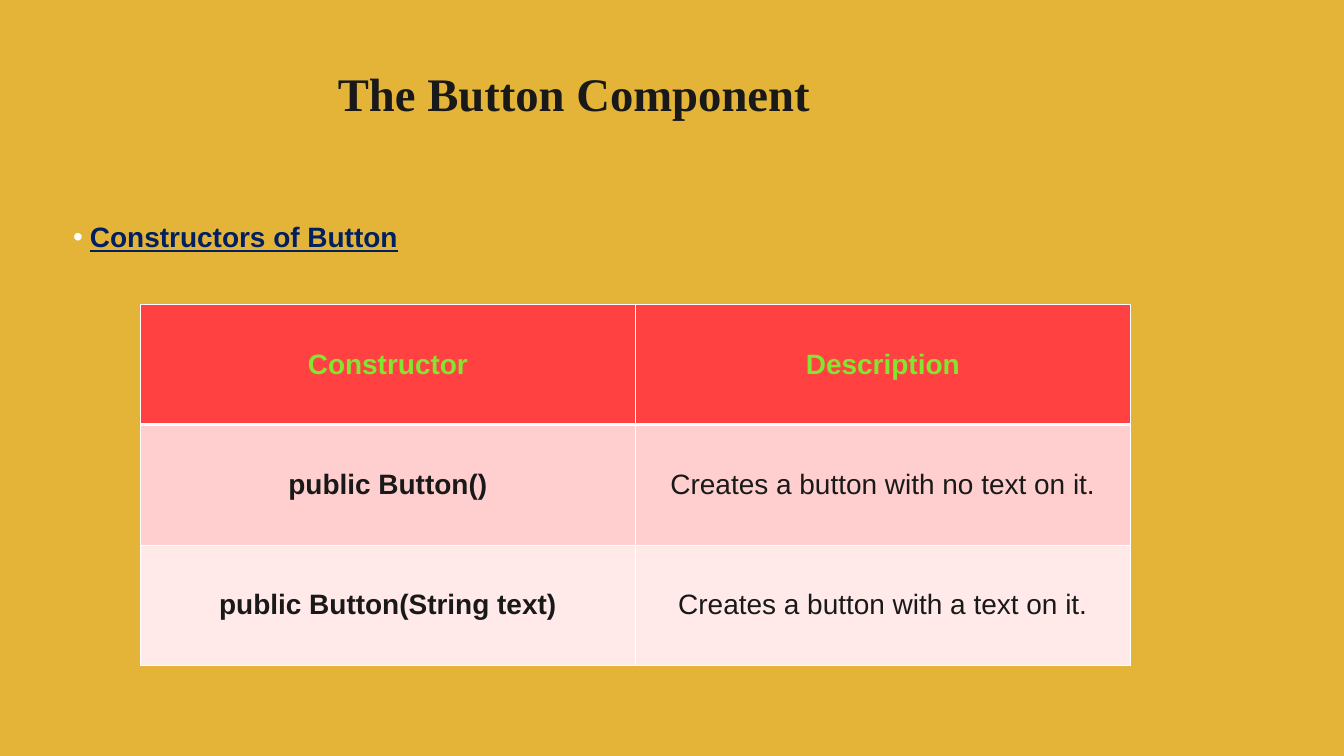
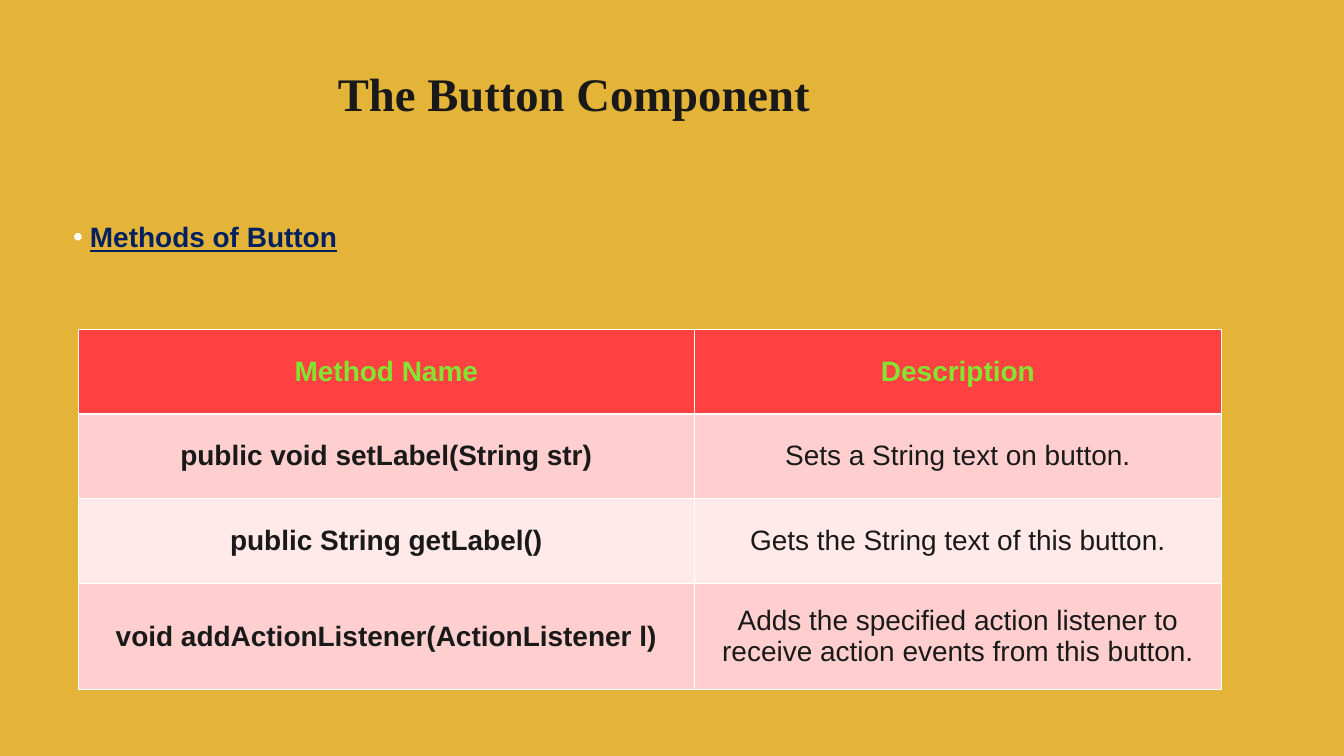
from lxml.etree import SubElement
from pptx import Presentation
from pptx.dml.color import RGBColor
from pptx.enum.text import MSO_ANCHOR, PP_ALIGN
from pptx.oxml.ns import qn
from pptx.util import Inches, Pt

GOLD = RGBColor(0xE4, 0xB4, 0x39)
INK = RGBColor(0x19, 0x19, 0x19)
NAVY = RGBColor(0x00, 0x20, 0x60)
WHITE = RGBColor(0xFF, 0xFF, 0xFF)
GREEN = RGBColor(0x81, 0xE5, 0x32)
RED = RGBColor(0xFF, 0x41, 0x41)
BANDS = (RGBColor(0xFF, 0xCF, 0xCF), RGBColor(0xFF, 0xE9, 0xE9))

SERIF, SANS = "Times New Roman", "Arial"
TITLE_SIZE, BODY_SIZE = 50, 30
GRID_COLS, GRID_ROWS = 80, 45


class Deck:
    def __init__(self):
        self.prs = Presentation()
        self.prs.slide_width = Inches(20)
        self.prs.slide_height = Inches(11.25)
        self.s = None

    def x(self, cols):
        return round(self.prs.slide_width * cols / GRID_COLS)

    def y(self, rows):
        return round(self.prs.slide_height * rows / GRID_ROWS)

    def slide(self, title, heading):
        self.s = self.prs.slides.add_slide(self.prs.slide_layouts[6])
        self.s.background.fill.solid()
        self.s.background.fill.fore_color.rgb = GOLD
        self.title(title)
        self.heading(heading)

    def box(self, left, top, width, height):
        sp = self.s.shapes.add_textbox(
            self.x(left), self.y(top), self.x(width), self.y(height))
        sp.text_frame.word_wrap = True
        return sp.text_frame

    def styled_text(self, p, text, size, font, color, bold=True, underline=False):
        p.text = text
        for r in p.runs:
            r.font.size = Pt(size)
            r.font.name = font
            r.font.color.rgb = color
            r.font.bold = bold
            r.font.underline = underline

    def title(self, text):
        tf = self.box(19.72, 2.32, 40.56, 6.44)
        tf.vertical_anchor = MSO_ANCHOR.MIDDLE
        self.styled_text(tf.paragraphs[0], text, TITLE_SIZE, SERIF, INK)

    def heading(self, text):
        tf = self.box(3.96, 10.68, 72.48, 22.6)
        tf.margin_top = self.y(2.4)
        p = tf.paragraphs[0]
        self.bullet(p)
        self.styled_text(p, text, BODY_SIZE, SANS, NAVY, underline=True)

    def bullet(self, p):
        pPr = p._p.get_or_add_pPr()
        indent = self.x(1)
        pPr.set("marL", str(indent))
        pPr.set("indent", str(-indent))
        clr = SubElement(pPr, qn("a:buClr"))
        SubElement(clr, qn("a:srgbClr"), val=str(WHITE))
        SubElement(pPr, qn("a:buFont"), typeface=SANS)
        SubElement(pPr, qn("a:buChar"), char="•")

    def borders(self, cell, **widths):
        tcPr = cell._tc.get_or_add_tcPr()
        for side in "LRTB":
            ln = SubElement(tcPr, qn(f"a:ln{side}"), w=str(int(Pt(widths.get(side, 1)))))
            fill = SubElement(ln, qn("a:solidFill"))
            SubElement(fill, qn("a:srgbClr"), val=str(WHITE))

    def cell(self, cell, text, fill, color, bold):
        cell.margin_left = cell.margin_right = Inches(0.02)
        cell.margin_top = cell.margin_bottom = Inches(0.02)
        cell.vertical_anchor = MSO_ANCHOR.MIDDLE
        cell.fill.solid()
        cell.fill.fore_color.rgb = fill
        p = cell.text_frame.paragraphs[0]
        p.alignment = PP_ALIGN.CENTER
        self.styled_text(p, text, BODY_SIZE, SANS, color, bold)

    def table(self, left, top, widths, heights, rows):
        table = self.s.shapes.add_table(
            len(rows), len(widths), self.x(left), self.y(top),
            self.x(sum(widths)), self.y(sum(heights))).table
        for col, width in zip(table.columns, widths):
            col.width = self.x(width)
        for i, (row, height) in enumerate(zip(rows, heights)):
            table.rows[i].height = self.y(height)
            header = i == 0
            fill = RED if header else BANDS[(i - 1) % 2]
            for j, text in enumerate(row):
                cell = table.cell(i, j)
                self.borders(cell, B=3 if header else 1, T=3 if i == 1 else 1)
                self.cell(cell, text, fill, GREEN if header else INK,
                          header or j == 0)


def main():
    deck = Deck()
    title = "The Button Component"

    deck.slide(title, "Constructors of Button")
    deck.table(8.36, 18.12, [29.46] * 2, [7.16] * 3, [
        ("Constructor", "Description"),
        ("public Button()", "Creates a button with no text on it."),
        ("public Button(String text)", "Creates a button with a text on it."),
    ])

    deck.slide(title, "Methods of Button")
    deck.table(4.68, 19.6, [36.64, 31.4], [5.04] * 3 + [6.34], [
        ("Method Name", "Description"),
        ("public void setLabel(String str)", "Sets a String text on button."),
        ("public String getLabel()", "Gets the String text of this button."),
        ("void addActionListener(ActionListener l)",
         "Adds the specified action listener to receive action events from this button."),
    ])

    deck.prs.save("out.pptx")


if __name__ == "__main__":
    main()
